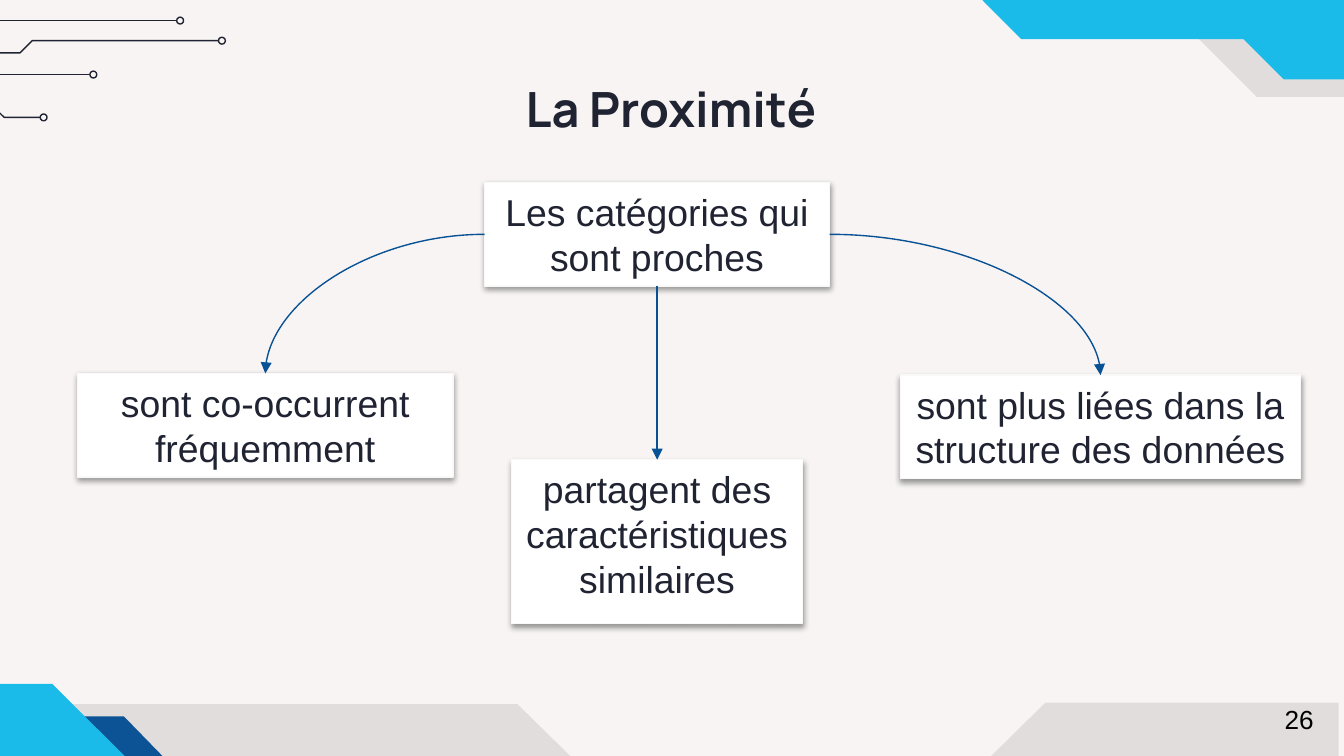
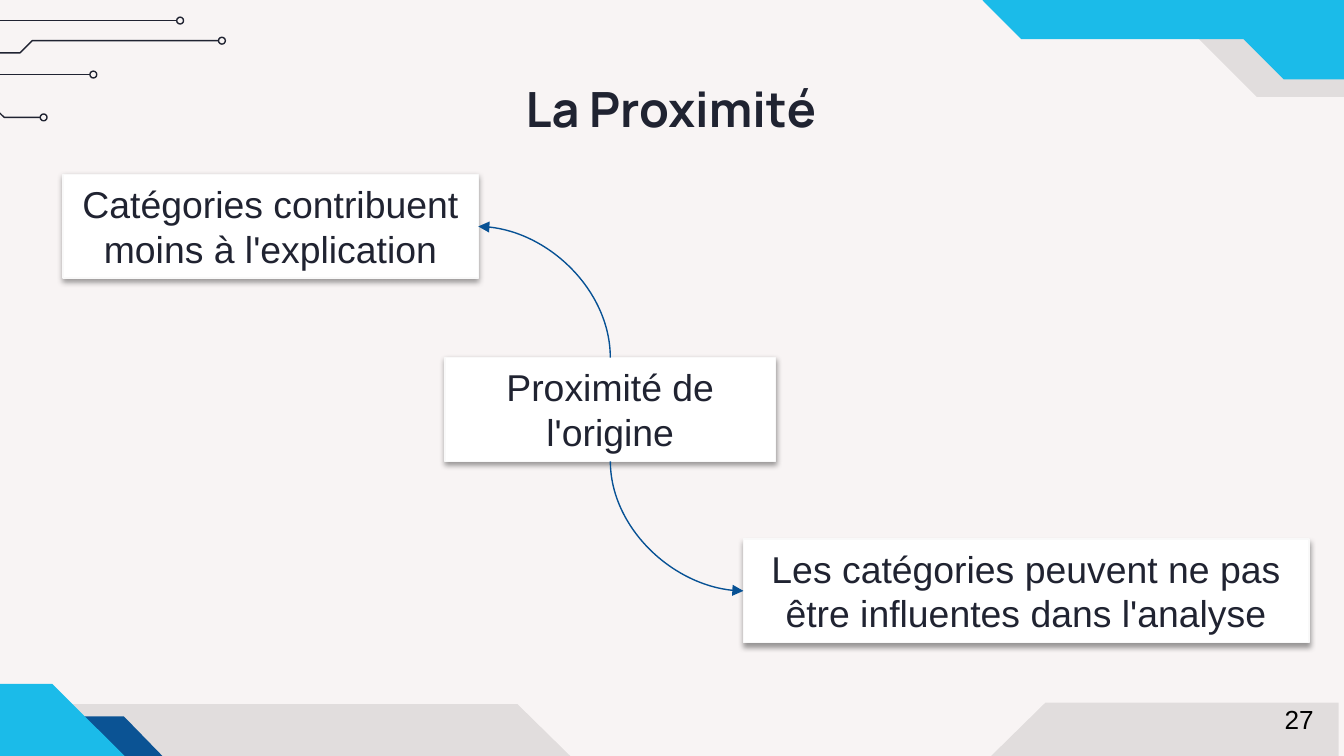
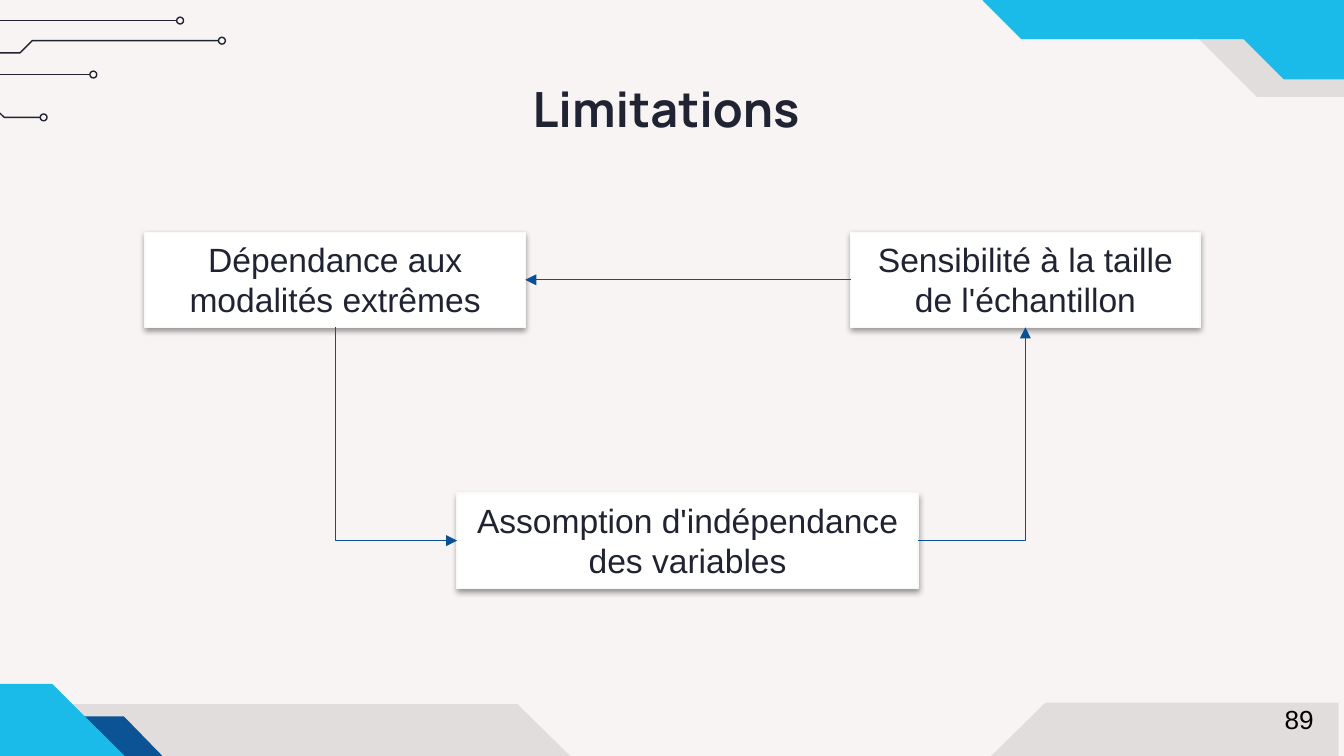
from dataclasses import dataclass

from lxml import etree
from pptx import Presentation
from pptx.dml.color import RGBColor
from pptx.enum.shapes import MSO_CONNECTOR, MSO_SHAPE
from pptx.enum.text import MSO_ANCHOR, MSO_AUTO_SIZE, PP_ALIGN
from pptx.oxml.ns import qn
from pptx.util import Cm, Pt


@dataclass(frozen=True)
class Theme:
    paper: RGBColor = RGBColor.from_string("F8F4F4")
    ink: RGBColor = RGBColor.from_string("202331")
    sky: RGBColor = RGBColor.from_string("1BBBE9")
    navy: RGBColor = RGBColor.from_string("0B5394")
    arrow: RGBColor = RGBColor.from_string("075194")
    card: RGBColor = RGBColor.from_string("FFFFFF")
    card_edge: RGBColor = RGBColor.from_string("F9F9F9")
    black: RGBColor = RGBColor.from_string("000000")
    title_font: str = "Manrope"
    body_font: str = "Arial"
    title_size: int = 26
    card_size: int = 20
    small_card_size: int = 18
    number_size: int = 14
    stroke: Pt = Pt(0.75)


THEME = Theme()

# Connection site index and its place as a share of width and height
SITES = {"top": (0, 0.5, 0), "left": (1, 0, 0.5), "bottom": (2, 0.5, 1), "right": (3, 1, 0.5)}

BANDS = [
    (THEME.black, 9, [(23.75, 1.83), (20.9, -1.02), (20.07, -1.02), (20.07, -2.46),
                      (27.86, -2.46), (27.86, 1.83)]),
    (THEME.black, 9, [(19.76, 13.28), (16.89, 16.1), (12.62, 16.1), (9.78, 13.31),
                      (-0.71, 13.31), (-0.71, 18.54), (25.3, 18.54), (25.3, 13.28)]),
    (THEME.navy, 100, [(3.07, 14.29), (2.34, 13.54), (-0.86, 13.54), (-0.13, 14.29)]),
    (THEME.sky, 100, [(30.23, 1.5), (30.23, -6.88), (16.03, -6.88), (16.03, -0.74),
                      (17.83, -0.74), (19.3, 0.74), (23.5, 0.74), (24.26, 1.5)]),
    (THEME.sky, 100, [(0.99, 12.93), (3.84, 15.77), (4.65, 15.77), (4.65, 17.22),
                      (-3.15, 17.22), (-3.15, 12.93)]),
]

CIRCUITS = [
    [(-2.54, 1.41), (1.7, 1.41)],
    [(-3.45, 1.9), (-0.25, 1.9), (0.08, 2.22), (0.76, 2.22)],
    [(-4.27, 1), (0.38, 1), (0.61, 0.77), (4.13, 0.77)],
    [(-4.9, 0.39), (3.34, 0.39)],
]
NODE = 0.13

# Title, page number, text size, arrow style, cards, arrows between card sides
PAGES = [
    ("La Proximité", "26", THEME.card_size, MSO_CONNECTOR.CURVE, {
        "proches": ("Les catégories qui sont proches", 9.16, 3.45, 6.52, 1.96),
        "fréquence": ("sont co-occurrent fréquemment", 1.47, 7.06, 7.09, 1.96),
        "structure": ("sont plus liées dans la structure des données", 17.02, 7.09, 7.56, 1.96),
        "similaires": ("partagent des caractéristiques similaires", 9.67, 8.69, 5.5, 3.1),
    }, [
        ("proches", "right", "structure", "top"),
        ("proches", "bottom", "similaires", "top"),
        ("proches", "left", "fréquence", "top"),
    ]),
    ("La Proximité", "27", THEME.card_size, MSO_CONNECTOR.CURVE, {
        "explication": ("Catégories contribuent moins à l'explication", 1.19, 3.3, 7.85, 1.96),
        "origine": ("Proximité de l'origine", 8.41, 6.76, 6.25, 1.96),
        "influence": ("Les catégories peuvent ne pas être influentes dans l'analyse",
                      14.05, 10.19, 10.69, 1.96),
    }, [
        ("origine", "top", "explication", "right"),
        ("origine", "bottom", "influence", "left"),
    ]),
    ("Limitations ", "89", THEME.small_card_size, MSO_CONNECTOR.ELBOW, {
        "extrêmes": ("Dépendance aux modalités extrêmes", 2.74, 4.39, 7.19, 1.8),
        "indépendance": ("Assomption d'indépendance des variables", 8.64, 9.32, 8.71, 1.8),
        "taille": ("Sensibilité à la taille de l'échantillon", 16.08, 4.39, 6.6, 1.8),
    }, [
        ("extrêmes", "bottom", "indépendance", "left"),
        ("indépendance", "right", "taille", "bottom"),
        ("taille", "left", "extrêmes", "right"),
    ]),
]


def write(shape, text, *, size, font=THEME.body_font, color=THEME.ink, bold=False,
          align=PP_ALIGN.CENTER, anchor=MSO_ANCHOR.TOP, wrap=True,
          fit=MSO_AUTO_SIZE.SHAPE_TO_FIT_TEXT):
    frame = shape.text_frame
    frame.word_wrap = wrap
    frame.auto_size = fit
    frame.vertical_anchor = anchor
    paragraph = frame.paragraphs[0]
    paragraph.alignment = align
    run = paragraph.add_run()
    run.text = text
    run.font.name = font
    run.font.size = Pt(size)
    run.font.bold = bold
    run.font.color.rgb = color


def link(shapes, style, start, start_side, end, end_side):
    """Draw an arrow glued to the given sides of two cards."""
    start_site, fx, fy = SITES[start_side]
    x1, y1 = start.left + round(start.width * fx), start.top + round(start.height * fy)
    end_site, fx, fy = SITES[end_side]
    x2, y2 = end.left + round(end.width * fx), end.top + round(end.height * fy)

    leaves_vertically = start_side in ("top", "bottom")
    if leaves_vertically:
        # The frame is laid out a quarter turn back, then rotated into place
        mid_x, mid_y, half_dx, half_dy = (x1 + x2) // 2, (y1 + y2) // 2, (x2 - x1) // 2, (y2 - y1) // 2
        x1, y1, x2, y2 = mid_x - half_dy, mid_y + half_dx, mid_x + half_dy, mid_y - half_dx
    arrow = shapes.add_connector(style, x1, y1, x2, y2)
    arrow.line.color.rgb = THEME.arrow
    arrow.line.width = THEME.stroke

    properties = arrow.element.spPr
    if leaves_vertically:
        properties.find(qn("a:xfrm")).set("rot", "5400000")
    if leaves_vertically != (end_side in ("top", "bottom")):
        geometry = properties.find(qn("a:prstGeom"))
        geometry.set("prst", geometry.get("prst").replace("3", "2"))
    etree.SubElement(properties.find(qn("a:ln")), qn("a:tailEnd"), type="triangle")
    etree.SubElement(properties, qn("a:effectLst"))
    glue = arrow.element.find(".//" + qn("p:cNvCxnSpPr"))
    for tag, card, site in (("a:stCxn", start, start_site), ("a:endCxn", end, end_site)):
        etree.SubElement(glue, qn(tag), id=str(card.shape_id), idx=str(site))


deck = Presentation()
deck.slide_width, deck.slide_height = Cm(25.4), Cm(14.29)
blank = deck.slide_layouts[6]
for placeholder in list(blank.placeholders):
    placeholder.element.getparent().remove(placeholder.element)
blank.background.fill.solid()
blank.background.fill.fore_color.rgb = THEME.paper
slides = [deck.slides.add_slide(blank) for _ in PAGES]

# Shared decoration: drawn once, then moved to the layout
decor = slides[0].shapes
for color, opacity, corners in BANDS:
    first, *rest = [(Cm(x), Cm(y)) for x, y in corners]
    band = decor.build_freeform(*first).add_line_segments(rest).convert_to_shape()
    band.shadow.inherit = False
    band.fill.solid()
    band.fill.fore_color.rgb = color
    band.line.fill.background()
    if opacity < 100:
        tint = band.element.spPr.find(qn("a:solidFill")).find(qn("a:srgbClr"))
        etree.SubElement(tint, qn("a:alpha"), val=str(opacity * 1000))

for corners in CIRCUITS:
    first, *rest = [(Cm(x), Cm(y)) for x, y in corners]
    if len(rest) == 1:
        track = decor.add_connector(MSO_CONNECTOR.STRAIGHT, *first, *rest[0])
        etree.SubElement(track.element.spPr, qn("a:effectLst"))
    else:
        track = decor.build_freeform(*first).add_line_segments(rest, close=False).convert_to_shape()
        track.shadow.inherit = False
        track.fill.background()
    end_x, end_y = corners[-1]
    node = decor.add_shape(MSO_SHAPE.OVAL, Cm(end_x), Cm(end_y - NODE / 2), Cm(NODE), Cm(NODE))
    node.shadow.inherit = False
    node.fill.background()
    for stroke in (track.line, node.line):
        stroke.color.rgb = THEME.ink
        stroke.width = THEME.stroke

for part in list(decor):
    blank.element.cSld.spTree.append(part.element)

for slide, (title, number, size, style, cards, arrows) in zip(slides, PAGES):
    shapes = slide.shapes
    heading = shapes.add_textbox(Cm(1.98), Cm(1.24), Cm(21.41), Cm(1.6))
    heading.text_frame.margin_top = heading.text_frame.margin_bottom = Cm(0.25)
    write(heading, title, size=THEME.title_size, font=THEME.title_font, bold=True,
          anchor=MSO_ANCHOR.MIDDLE, fit=MSO_AUTO_SIZE.NONE)

    placed = {}
    for key, (text, *frame) in cards.items():
        card = placed[key] = shapes.add_shape(MSO_SHAPE.RECTANGLE, *map(Cm, frame))
        card.fill.solid()
        card.fill.fore_color.rgb = THEME.card
        card.line.color.rgb = THEME.card_edge
        card.line.width = THEME.stroke
        card.shadow.inherit = False
        shadow = etree.SubElement(card.element.spPr.find(qn("a:effectLst")), qn("a:outerShdw"),
                                  blurRad="40000", dist="20000", dir="5400000", rotWithShape="0")
        shade = etree.SubElement(shadow, qn("a:srgbClr"), val=str(THEME.black))
        etree.SubElement(shade, qn("a:alpha"), val="38000")
        write(card, text, size=size)

    for start, start_side, end, end_side in arrows:
        link(shapes, style, placed[start], start_side, placed[end], end_side)

    page_number = shapes.add_textbox(Cm(24.03), Cm(13.18), Cm(1.07), Cm(0.86))
    write(page_number, number, size=THEME.number_size, color=THEME.black,
          align=PP_ALIGN.LEFT, wrap=False)

deck.save("out.pptx")
